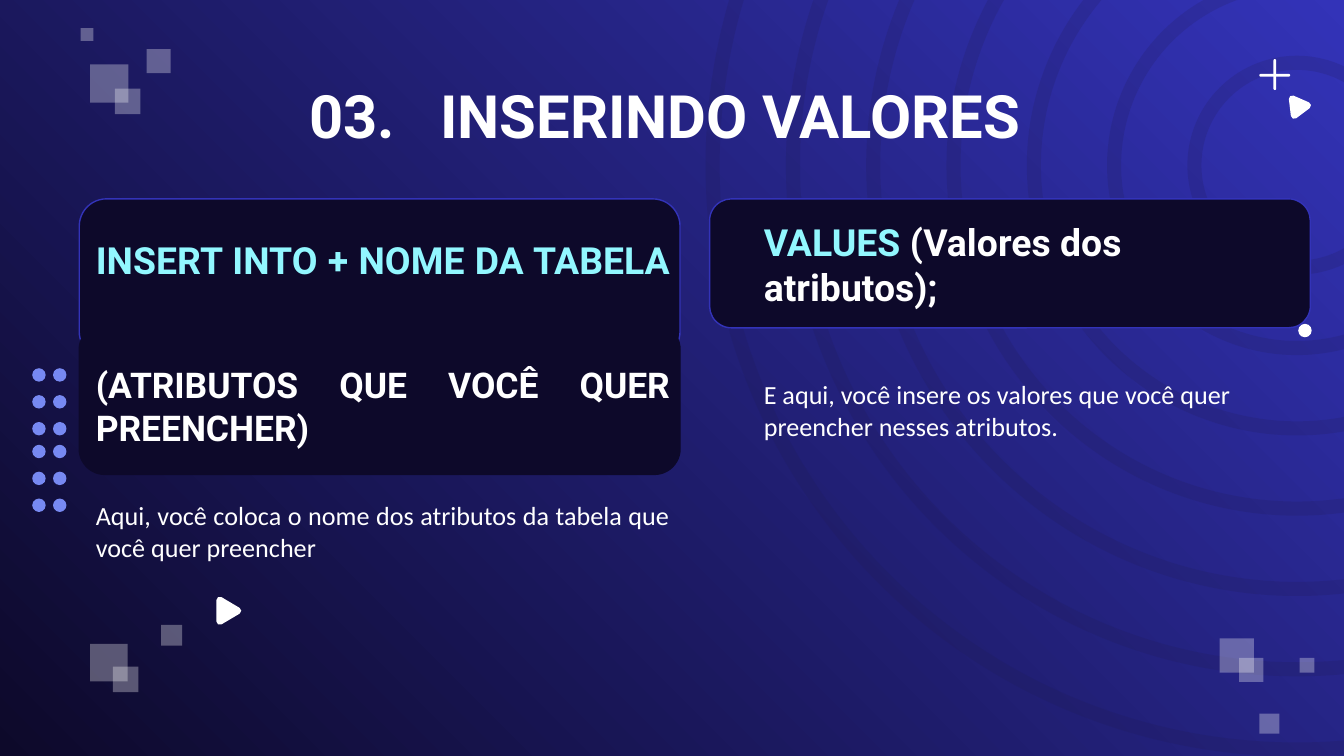
from pptx import Presentation
from pptx.dml.color import RGBColor
from pptx.enum import shapes, text
from pptx.oxml import ns
from pptx import util as u
from lxml import etree

NIGHT = RGBColor(0x0D, 0x09, 0x2A)
BLUE = RGBColor(0x33, 0x33, 0xB8)
RING = RGBColor(0x20, 0x1A, 0x4A)
DOT = RGBColor(0x77, 0x89, 0xF2)
CYAN = RGBColor(0x92, 0xF7, 0xFF)
WHITE = RGBColor(0xFF, 0xFF, 0xFF)
KIND = shapes.MSO_SHAPE
LEFT, MID = text.PP_ALIGN.LEFT, text.PP_ALIGN.CENTER
FULL = text.PP_ALIGN.JUSTIFY


class Deck:
    """Draws styled elements on a square grid of 100 columns across the slide."""

    head, body = "Roboto", "Calibri"

    def __init__(self, wide):
        self.prs = Presentation()
        self.prs.slide_width = u.Inches(wide)
        self.prs.slide_height = u.Inches(wide * 9 / 16)
        self.cell = self.prs.slide_width / 100
        self.slide = self.prs.slides.add_slide(self.prs.slide_layouts[6])

    def grid(self, *cells):
        return [u.Emu(round(c * self.cell)) for c in cells]

    def back(self, low, high, angle):
        fill = self.slide.background.fill
        fill.gradient()
        fill.gradient_angle = angle
        for stop, tint in zip(fill.gradient_stops, (low, high)):
            stop.color.rgb = tint

    def paint(self, shape, fill, edge=None, width=0.75, alpha=None):
        shape.shadow.inherit = False
        shape.fill.solid()
        shape.fill.fore_color.rgb = fill
        if alpha:
            tone = shape._element.spPr.find(".//" + ns.qn("a:srgbClr"))
            etree.SubElement(tone, ns.qn("a:alpha"), val=str(alpha * 1000))
        if edge is None:
            shape.line.fill.background()
        else:
            shape.line.color.rgb = edge
            shape.line.width = u.Pt(width)

    def form(self, kind, box, fill, edge=None, adj=None, alpha=None):
        shape = self.slide.shapes.add_shape(kind, *self.grid(*box))
        if adj is not None:
            shape.adjustments[0] = adj
        self.paint(shape, fill, edge, alpha=alpha)

    def card(self, box, edge):
        self.form(KIND.ROUNDED_RECTANGLE, box, NIGHT, edge, adj=0.17)

    def play(self, points):
        start, *rest = [self.grid(*point) for point in points]
        pen = self.slide.shapes.build_freeform(*start)
        pen.add_line_segments(rest)
        shape = pen.convert_to_shape()
        self.paint(shape, WHITE, WHITE, 3.6)
        etree.SubElement(shape.line._get_or_add_ln(), ns.qn("a:round"))

    def words(self, box, parts, size, align=LEFT, font=head, low=1):
        frame = self.slide.shapes.add_textbox(*self.grid(*box)).text_frame
        frame.word_wrap = True
        frame.vertical_anchor = text.MSO_ANCHOR.MIDDLE
        frame.margin_left, frame.margin_top = self.grid(1, 1)
        frame.margin_right, frame.margin_bottom = self.grid(1, low)
        para = frame.paragraphs[0]
        para.alignment = align
        for part, tint in parts:
            run = para.add_run()
            run.text = part
            run.font.name, run.font.size = font, u.Pt(size)
            run.font.bold = font == self.head
            run.font.color.rgb = tint
        return para

    def note(self, box, line, align=LEFT):
        self.words(box, [(line, WHITE)], 14, align, self.body)


def decor(deck):
    for i in reversed(range(7)):
        size = 16.3 + 11.95 * i
        box = (96.5 - size / 2, 12.3 - size / 2, size, size)
        deck.form(KIND.DONUT, box, RING, adj=1.05 / size, alpha=17)
    for x, y, size in (
        (6.7, 4.8, 2.85), (8.55, 6.6, 1.9), (10.9, 3.65, 1.8), (6, 2.1, 0.95),
        (12, 46.5, 1.55), (6.7, 47.9, 2.8), (8.4, 49.6, 1.9),
        (90.75, 47.5, 2.55), (92.2, 48.95, 1.8), (96.7, 48.95, 1.1), (93.7, 53.1, 1.5),
    ):
        deck.form(KIND.RECTANGLE, (x, y, size, size), WHITE, alpha=31)
    deck.play([(16.35, 44.65), (17.7, 45.45), (16.35, 46.25)])
    deck.play([(96.15, 7.35), (97.3, 7.85), (96.3, 8.6)])
    for bar in ((94.75, 4.4, 0.2, 2.3), (93.7, 5.5, 2.3, 0.2)):
        deck.form(KIND.ROUNDED_RECTANGLE, bar, WHITE, adj=0.5)
    deck.form(KIND.OVAL, (96.6, 24.1, 1, 1), WHITE)
    for top in (27.4, 33.1):
        for row in range(3):
            for x in (2.4, 3.95):
                deck.form(KIND.OVAL, (x, top + 2 * row, 1, 1), DOT)


def main():
    deck = Deck(10)
    deck.back(NIGHT, BLUE, 45)
    decor(deck)
    title = [("03.", WHITE), (" ", WHITE), ("INSERINDO VALORES ", WHITE)]
    para = deck.words((7.9, 5.9, 84.3, 5.2), title, 32, MID)
    para.runs[1].font._element.set("spc", "1600")
    deck.card((5.9, 14.8, 44.7, 11.9), BLUE)
    deck.words((6.15, 17.9, 44.7, 6.1), [("INSERT INTO + NOME DA TABELA ", CYAN)],
               20, FULL, low=4.3)
    deck.note((55.85, 26.75, 38.7, 7.5),
              "E aqui, você insere os valores que você quer preencher nesses atributos.")
    deck.note((6.15, 35.75, 44.7, 7.5),
              "Aqui, você coloca o nome dos atributos da tabela que você quer preencher ", FULL)
    deck.card((5.9, 24.1, 44.7, 11.2), NIGHT)
    deck.words((6.15, 28.8, 44.7, 6.1), [("(ATRIBUTOS QUE VOCÊ QUER PREENCHER)", WHITE)],
               19, FULL, low=4.3)
    deck.card((52.8, 14.8, 44.7, 9.6), BLUE)
    deck.words((55.85, 16.6, 38.7, 6.1),
               [("VALUES ", CYAN), ("(Valores dos atributos);", WHITE)], 20)
    deck.prs.save("out.pptx")


if __name__ == "__main__":
    main()
